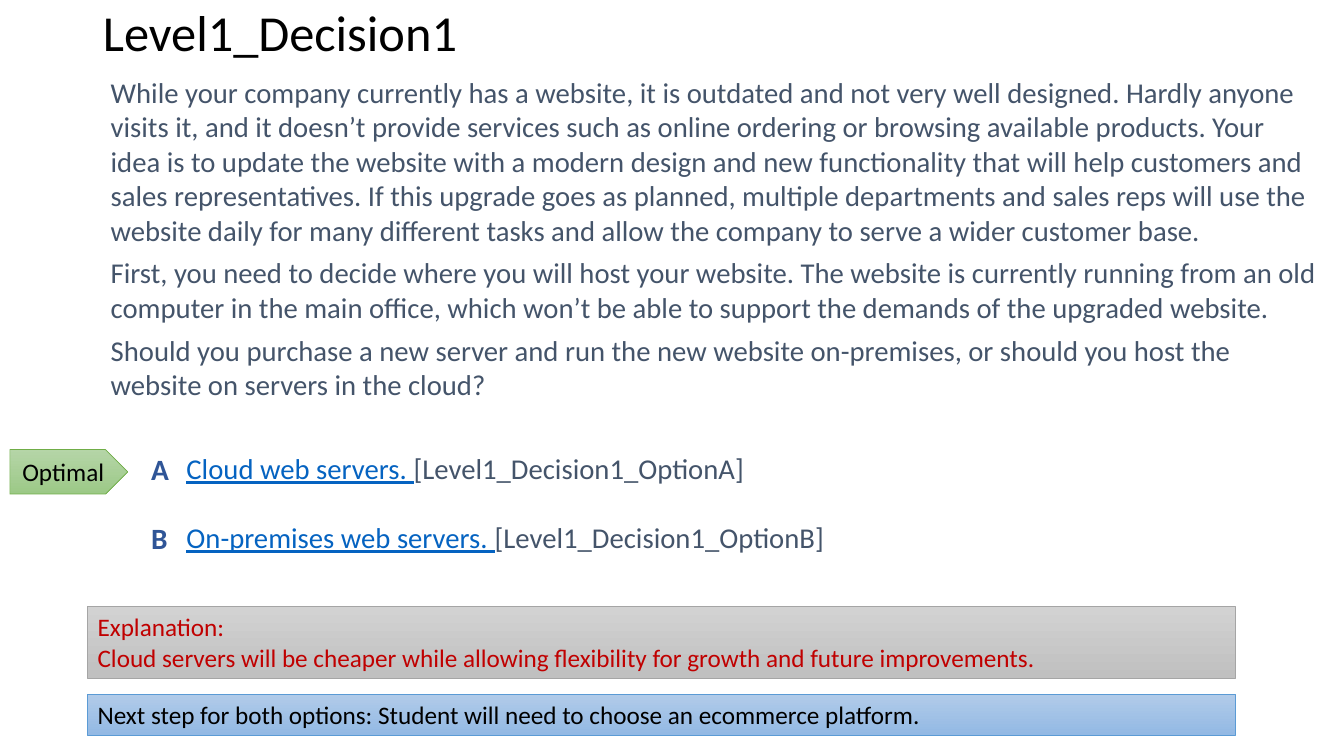
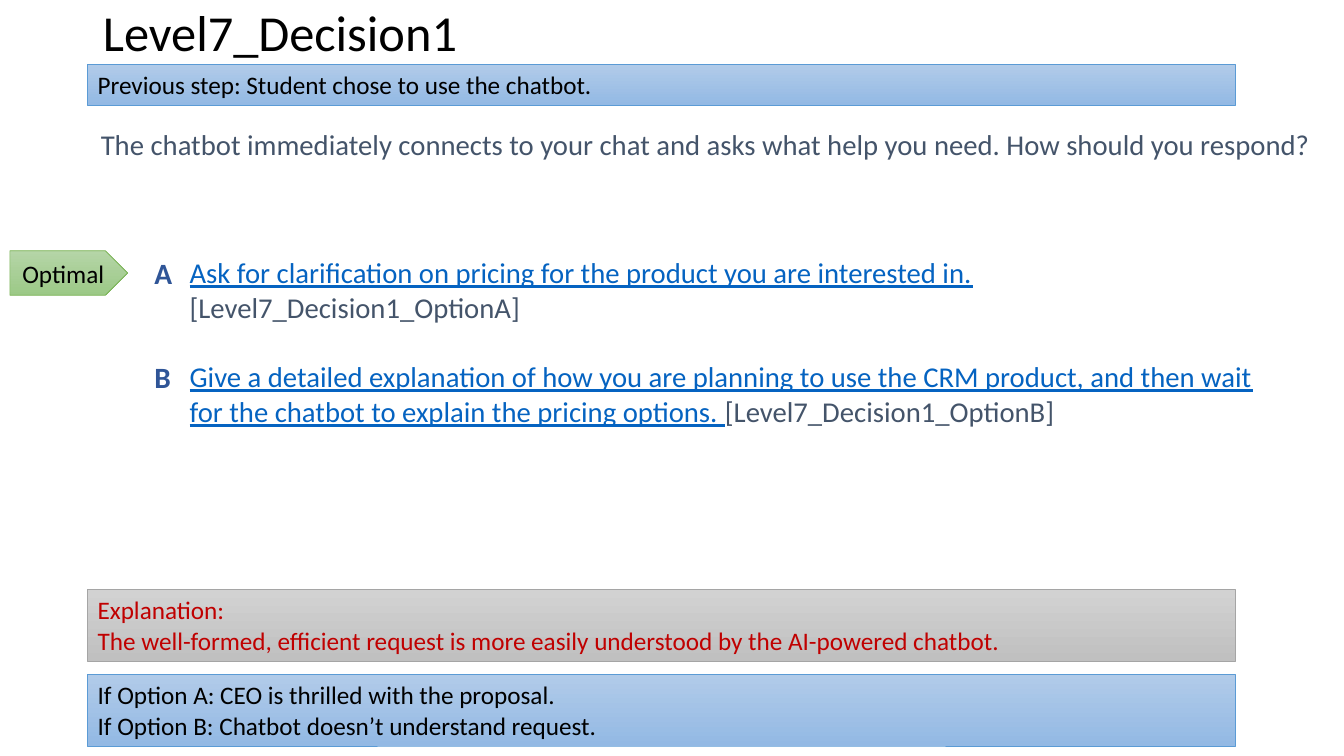
from pptx import Presentation
from pptx.dml.color import RGBColor
from pptx.enum.shapes import MSO_SHAPE
from pptx.enum.text import MSO_ANCHOR, PP_ALIGN
from pptx.util import Cm, Pt

FONT = "Calibri"
BLACK = RGBColor(0x00, 0x00, 0x00)
SLATE = RGBColor(0x44, 0x54, 0x6A)
LINK_BLUE = RGBColor(0x05, 0x63, 0xC1)
LETTER_BLUE = RGBColor(0x2F, 0x55, 0x97)
RED = RGBColor(0xC0, 0x00, 0x00)

GREEN_STYLE = (RGBColor(0xB5, 0xD5, 0xA7), RGBColor(0x9C, 0xC9, 0x87), RGBColor(0x70, 0xAD, 0x47))
GRAY_STYLE = (RGBColor(0xD2, 0xD2, 0xD2), RGBColor(0xC0, 0xC0, 0xC0), RGBColor(0xA5, 0xA5, 0xA5))
BLUE_STYLE = (RGBColor(0xB1, 0xCB, 0xE9), RGBColor(0x93, 0xB9, 0xE4), RGBColor(0x5B, 0x9B, 0xD5))

BODY_SIZE = 20.5
BAND_LEFT, BAND_WIDTH = 2.21, 28.93
BAND_HEIGHTS = {1: 1.02, 2: 1.8}
LETTER_GAP = 0.89


def set_font(font, size, color, bold=False):
    """Apply the shared typeface with a size and colour."""
    font.name = FONT
    font.size = Pt(size)
    font.color.rgb = color
    font.bold = bold


def write_lines(frame, lines, size, color, align=PP_ALIGN.LEFT, space_after=0, bold=False):
    """Write one uniformly formatted paragraph per line."""
    for index, line in enumerate(lines):
        paragraph = frame.add_paragraph() if index else frame.paragraphs[0]
        paragraph.text = line
        paragraph.alignment = align
        paragraph.space_after = Pt(space_after)
        set_font(paragraph.font, size, color, bold)


def add_title(slide, text):
    """Place and format the title placeholder."""
    title = slide.shapes.title
    title.left, title.top, title.width, title.height = Cm(2.34), Cm(0), Cm(29.21), Cm(1.78)
    title.text_frame.vertical_anchor = MSO_ANCHOR.MIDDLE
    write_lines(title.text_frame, [text], 36, BLACK)
    title.text_frame.paragraphs[0].line_spacing = 0.9


def add_text_frame(slide, left, top, width, height):
    """Add a wrapping text box and return its text frame."""
    frame = slide.shapes.add_textbox(Cm(left), Cm(top), Cm(width), Cm(height)).text_frame
    frame.word_wrap = True
    frame.margin_left = frame.margin_right = Cm(0.33)
    frame.margin_top = frame.margin_bottom = Cm(0.18)
    return frame


def add_body(slide, left, top, width, height, lines):
    """Add the scenario text."""
    frame = add_text_frame(slide, left, top, width, height)
    write_lines(frame, lines, BODY_SIZE, SLATE, space_after=6)


def add_option(slide, left, top, width, letter, answer, tag):
    """Add an answer with its letter and its decision tag."""
    letter_frame = add_text_frame(slide, left - LETTER_GAP, top, 1.75, 1.2)
    write_lines(letter_frame, [letter], 21, LETTER_BLUE, bold=True)
    paragraph = add_text_frame(slide, left, top, width, 1.2).paragraphs[0]
    for text, color, underline in ((answer + " ", LINK_BLUE, True), (tag, SLATE, False)):
        run = paragraph.add_run()
        run.text = text
        set_font(run.font, BODY_SIZE, color)
        run.font.underline = underline


def add_gradient_shape(slide, preset, left, top, width, height, style):
    """Add an outlined shape with a vertical gradient and return its text frame."""
    shape = slide.shapes.add_shape(preset, Cm(left), Cm(top), Cm(width), Cm(height))
    shape.shadow.inherit = False
    *stop_colors, line_color = style
    shape.fill.gradient()
    shape.fill.gradient_angle = 270
    for stop, color in zip(shape.fill.gradient_stops, stop_colors):
        stop.color.rgb = color
    shape.line.color.rgb = line_color
    shape.line.width = Pt(0.5)
    shape.text_frame.word_wrap = True
    return shape.text_frame


def add_band(slide, top, lines, style=BLUE_STYLE, color=BLACK):
    """Add a full-width note band sized to its number of lines."""
    frame = add_gradient_shape(slide, MSO_SHAPE.RECTANGLE, BAND_LEFT, top, BAND_WIDTH,
                               BAND_HEIGHTS[len(lines)], style)
    frame.vertical_anchor = MSO_ANCHOR.TOP
    write_lines(frame, lines, 18, color)


def add_explanation(slide, top, text):
    """Add the gray band that explains the best answer."""
    add_band(slide, top, ["Explanation:", text], GRAY_STYLE, RED)


def add_optimal_marker(slide, top):
    """Add the arrow that points at the best answer."""
    frame = add_gradient_shape(slide, MSO_SHAPE.PENTAGON, 0.25, top, 2.97, 1.12, GREEN_STYLE)
    frame.vertical_anchor = MSO_ANCHOR.MIDDLE
    write_lines(frame, ["Optimal"], 18, BLACK, PP_ALIGN.CENTER)


def add_decision_slide(presentation, title):
    """Add a title-only slide with its title."""
    slide = presentation.slides.add_slide(presentation.slide_layouts[5])
    add_title(slide, title)
    return slide


def build_hosting_slide(presentation):
    """Build the web hosting decision."""
    slide = add_decision_slide(presentation, "Level1_Decision1")
    add_body(slide, 2.46, 1.7, 31.19, 10.49, [
        "While your company currently has a website, it is outdated and not very well designed. "
        "Hardly anyone visits it, and it doesn’t provide services such as online ordering or "
        "browsing available products. Your idea is to update the website with a modern design and "
        "new functionality that will help customers and sales representatives. If this upgrade goes "
        "as planned, multiple departments and sales reps will use the website daily for many "
        "different tasks and allow the company to serve a wider customer base.",
        "First, you need to decide where you will host your website. The website is currently "
        "running from an old computer in the main office, which won’t be able to support the "
        "demands of the upgraded website.",
        "Should you purchase a new server and run the new website on-premises, or should you host "
        "the website on servers in the cloud?",
    ])
    add_option(slide, 4.37, 11.18, 24.13, "A", "Cloud web servers.", "[Level1_Decision1_OptionA]")
    add_option(slide, 4.37, 12.92, 24.13, "B", "On-premises web servers.", "[Level1_Decision1_OptionB]")
    add_optimal_marker(slide, 11.33)
    add_explanation(slide, 15.29, "Cloud servers will be cheaper while allowing flexibility for "
                                  "growth and future improvements.")
    add_band(slide, 17.5, ["Next step for both options: Student will need to choose an "
                           "ecommerce platform."])


def build_chatbot_slide(presentation):
    """Build the chatbot decision."""
    slide = add_decision_slide(presentation, "Level7_Decision1")
    add_band(slide, 1.63, ["Previous step: Student chose to use the chatbot."])
    add_body(slide, 2.21, 3.02, 31.65, 2.16, [
        "The chatbot immediately connects to your chat and asks what help you need. "
        "How should you respond?"])
    add_option(slide, 4.45, 6.25, 27.99, "A",
               "Ask for clarification on pricing for the product you are interested in.",
               "[Level7_Decision1_OptionA]")
    add_option(slide, 4.45, 8.87, 27.99, "B",
               "Give a detailed explanation of how you are planning to use the CRM product, and "
               "then wait for the chatbot to explain the pricing options.",
               "[Level7_Decision1_OptionB]")
    add_optimal_marker(slide, 6.32)
    add_explanation(slide, 14.86, "The well-formed, efficient request is more easily understood "
                                  "by the AI-powered chatbot.")
    add_band(slide, 17, ["If Option A: CEO is thrilled with the proposal.",
                         "If Option B: Chatbot doesn’t understand request."])


def main():
    """Build and save the presentation."""
    presentation = Presentation()
    presentation.slide_width, presentation.slide_height = Cm(33.87), Cm(19.05)
    build_hosting_slide(presentation)
    build_chatbot_slide(presentation)
    presentation.save("out.pptx")


if __name__ == "__main__":
    main()
